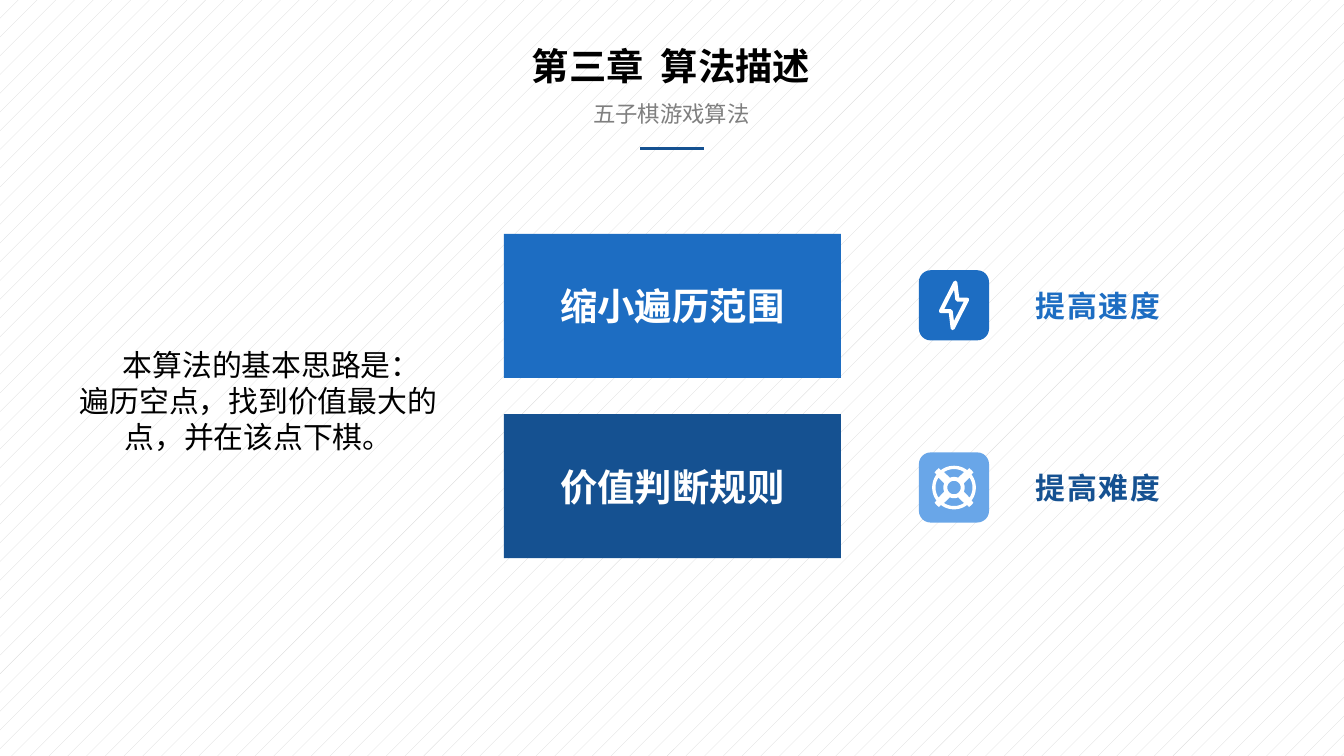
import math
from dataclasses import dataclass
from typing import Callable

from lxml import etree
from pptx import Presentation
from pptx.dml.color import RGBColor
from pptx.enum import dml, shapes, text
from pptx.oxml import ns
from pptx.util import Pt


@dataclass(frozen=True)
class Theme:
    blue: str = "1D6DC2"
    navy: str = "155191"
    sky: str = "69A6E8"
    white: str = "FFFFFF"
    black: str = "000000"
    gray: str = "7F7F7F"
    pattern: str = "D9D9D9"
    heading: int = 20
    body: int = 16
    subtitle: int = 12
    font: str = "Calibri"
    cjk_font: str = "Noto Sans CJK SC"


@dataclass(frozen=True)
class Rule:
    title: str
    benefit: str
    color: str
    icon_color: str
    card_top: float
    icon_top: float
    draw_symbol: Callable


THEME = Theme()
CARD_LEFT, CARD_WIDTH, CARD_HEIGHT = 270, 180.5, 77.2
ICON_LEFT, ICON_SIZE = 492.3, 37.6
LABEL_LEFT, LABEL_WIDTH, LABEL_HEIGHT = 546.5, 83.6, 26.5


def rgb(value: str) -> RGBColor:
    return RGBColor.from_string(value)


# Text
def write(frame, content: str, *, size: int, color: str, bold: bool = False,
          font: str = THEME.font, line_spacing: float | None = None,
          before: float | None = None, tracking: float = 0, first_indent: float = 0) -> None:
    """Fill a text frame with centred paragraphs, one per line of content."""
    for index, line in enumerate(content.split("\n")):
        para = frame.paragraphs[0] if index == 0 else frame.add_paragraph()
        para.alignment = text.PP_ALIGN.CENTER
        if line_spacing:
            para.line_spacing = line_spacing
        if before:
            para.space_before = Pt(before)
        if first_indent and index == 0:
            para._p.get_or_add_pPr().set("indent", str(Pt(first_indent)))
        span = para.add_run()
        span.text = line
        span.font.name, span.font.size, span.font.bold = font, Pt(size), bold
        span.font.color.rgb = rgb(color)
        properties = span.font._element
        etree.SubElement(properties, ns.qn("a:ea"), typeface=THEME.cjk_font)
        if tracking:
            properties.set("spc", str(round(tracking * 100)))


def add_text(page, content: str, left: float, top: float, width: float, height: float,
             wrap: bool = True, **style) -> None:
    box = page.shapes.add_textbox(Pt(left), Pt(top), Pt(width), Pt(height))
    box.text_frame.word_wrap = wrap
    box.text_frame.auto_size = text.MSO_AUTO_SIZE.SHAPE_TO_FIT_TEXT
    write(box.text_frame, content, **style)


# Shapes
def add_block(page, kind, left: float, top: float, width: float, height: float, color: str):
    block = page.shapes.add_shape(kind, Pt(left), Pt(top), Pt(width), Pt(height))
    block.shadow.inherit = False
    block.fill.solid()
    block.fill.fore_color.rgb = rgb(color)
    block.line.fill.background()
    return block


def add_outline(page, contours: list[list[tuple[float, float]]]):
    """Draw closed contours, given in points, as one freeform."""
    builder = None
    for contour in contours:
        corners = [(Pt(x), Pt(y)) for x, y in contour]
        if builder is None:
            builder = page.shapes.build_freeform(*corners[0])
        else:
            builder.move_to(*corners[0])
        builder.add_line_segments(corners[1:], close=True)
    outline = builder.convert_to_shape()
    outline.shadow.inherit = False
    return outline


def draw_bolt(page, x: float, y: float) -> None:
    half = [(0.7, -12.2), (-7, 3.1), (-1.8, 3.1)]
    corners = [(x + sign * dx, y + sign * dy) for sign in (1, -1) for dx, dy in half]
    bolt = add_outline(page, [corners])
    bolt.fill.background()
    bolt.line.color.rgb = rgb(THEME.white)
    bolt.line.width = Pt(2.2)
    etree.SubElement(bolt.line._get_or_add_ln(), ns.qn("a:round"))


def draw_lifebuoy(page, x: float, y: float) -> None:
    def arc(radius: float, start: int, end: int) -> list[tuple[float, float]]:
        steps = max(2, abs(end - start) // 6)
        angles = [math.radians(start + (end - start) * i / steps) for i in range(steps + 1)]
        return [(x + radius * math.cos(a), y + radius * math.sin(a)) for a in angles]

    quarters = range(0, 360, 90)
    rim = [point for q in quarters
           for point in arc(11.7, q - 37, q + 37) + arc(13.2, q + 38, q + 52)]
    windows = [arc(9.9, q - 33, q + 33) + arc(5.7, q + 23, q - 23) for q in quarters]
    hole = arc(3.6, 360, 0)
    buoy = add_outline(page, [rim, *windows, hole])
    buoy.fill.solid()
    buoy.fill.fore_color.rgb = rgb(THEME.white)
    buoy.line.fill.background()


def draw_rule(page, rule: Rule) -> None:
    """Draw a card with its icon and benefit label."""
    card = add_block(page, shapes.MSO_SHAPE.RECTANGLE, CARD_LEFT, rule.card_top,
                     CARD_WIDTH, CARD_HEIGHT, rule.color)
    card.text_frame.vertical_anchor = text.MSO_ANCHOR.MIDDLE
    write(card.text_frame, rule.title, size=THEME.heading, color=THEME.white, bold=True)
    add_block(page, shapes.MSO_SHAPE.ROUNDED_RECTANGLE, ICON_LEFT, rule.icon_top,
              ICON_SIZE, ICON_SIZE, rule.icon_color)
    middle = rule.icon_top + ICON_SIZE / 2
    rule.draw_symbol(page, ICON_LEFT + ICON_SIZE / 2, middle)
    add_text(page, rule.benefit, LABEL_LEFT, middle - LABEL_HEIGHT / 2, LABEL_WIDTH,
             LABEL_HEIGHT, size=THEME.body, color=rule.color, bold=True,
             font=THEME.cjk_font, tracking=1)


def main() -> None:
    deck = Presentation()
    deck.slide_width, deck.slide_height = Pt(720), Pt(405)
    page = deck.slides.add_slide(deck.slide_layouts[6])

    # Background
    backdrop = page.background.fill
    backdrop.patterned()
    backdrop.pattern = dml.MSO_PATTERN.PERCENT_5
    backdrop.fore_color.rgb = rgb(THEME.pattern)
    backdrop.back_color.rgb = rgb(THEME.white)

    # Heading
    underline = page.shapes.add_connector(shapes.MSO_CONNECTOR.STRAIGHT,
                                          Pt(343), Pt(79.6), Pt(377), Pt(79.6))
    underline.line.color.rgb = rgb(THEME.navy)
    underline.line.width = Pt(2)
    etree.SubElement(underline._element.spPr, ns.qn("a:effectLst"))
    add_text(page, "第三章  算法描述", 277, 22.3, 165, 28.8, wrap=False,
             size=THEME.heading, color=THEME.black, bold=True, line_spacing=0.9)
    add_text(page, "五子棋游戏算法", 310, 51.8, 99.4, 20.2, wrap=False,
             size=THEME.subtitle, color=THEME.gray, line_spacing=0.9, before=10)

    # Main idea
    add_text(page, "本算法的基本思路是：\n遍历空点，找到价值最大的点，并在该点下棋。",
             30.2, 182.2, 216.7, 65.5, size=THEME.body, color=THEME.black, first_indent=14)

    # Rules and their benefits
    for rule in (
        Rule("缩小遍历范围", "提高速度", THEME.blue, THEME.blue, 125.3, 144.8, draw_bolt),
        Rule("价值判断规则", "提高难度", THEME.navy, THEME.sky, 221.8, 242.4, draw_lifebuoy),
    ):
        draw_rule(page, rule)

    deck.save("out.pptx")


if __name__ == "__main__":
    main()
